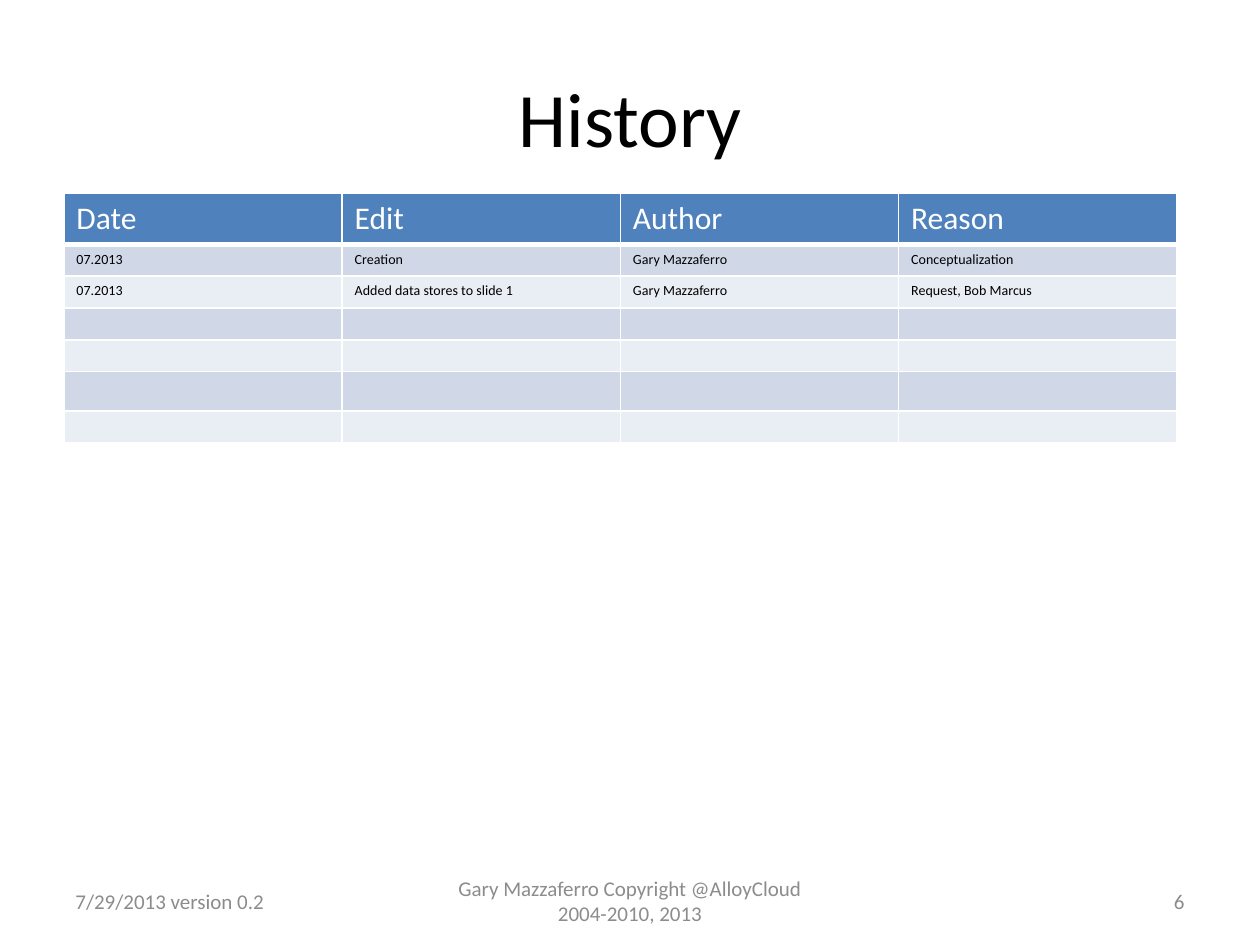
from lxml.etree import SubElement
from pptx import Presentation
from pptx.dml.color import RGBColor
from pptx.enum.text import MSO_ANCHOR, PP_ALIGN
from pptx.oxml.ns import qn
from pptx.util import Pt

TITLE = "History"
ROWS = [
    ("Date", "Edit", "Author", "Reason"),
    ("07.2013", "Creation", "Gary Mazzaferro", "Conceptualization"),
    ("07.2013", "Added data stores to slide 1", "Gary Mazzaferro", "Request, Bob Marcus"),
] + [("",) * 4] * 4
HEIGHTS = [28.8, 18.2, 18.2, 18.2, 18.2, 22.4, 18.2]
FOOTERS = [
    ("7/29/2013 version 0.2", 36, 168, PP_ALIGN.LEFT),
    ("Gary Mazzaferro Copyright @AlloyCloud 2004-2010, 2013", 246, 228, PP_ALIGN.CENTER),
    ("6", 516, 168, PP_ALIGN.RIGHT),
]

FACE = "Calibri"
BLACK = RGBColor(0, 0, 0)
WHITE = RGBColor(255, 255, 255)
GRAY = RGBColor(0x8C, 0x8C, 0x8C)
BLUE = RGBColor(0x4F, 0x81, 0xBD)
BANDS = [RGBColor(0xE9, 0xED, 0xF4), RGBColor(0xD0, 0xD8, 0xE8)]


def style(para, size, color, align=PP_ALIGN.LEFT):
    para.alignment = align
    font = para.font
    font.name, font.size, font.bold = FACE, Pt(size), False
    font.color.rgb = color


def border(cell, low):
    props = cell._tc.get_or_add_tcPr()
    for side, width in zip("LRTB", (1, 1, 1, low)):
        line = SubElement(props, qn("a:ln" + side), w=str(Pt(width)))
        fill = SubElement(line, qn("a:solidFill"))
        SubElement(fill, qn("a:srgbClr"), val=str(WHITE))


def add_title(slide):
    title = slide.shapes.title
    title.left, title.top, title.width, title.height = Pt(36), Pt(21.6), Pt(648), Pt(90)
    title.text_frame.text = TITLE
    title.text_frame.vertical_anchor = MSO_ANCHOR.MIDDLE
    style(title.text_frame.paragraphs[0], 44, BLACK, PP_ALIGN.CENTER)


def add_history(slide):
    count = len(ROWS[0])
    table = slide.shapes.add_table(
        len(ROWS), count, Pt(36.5), Pt(110.4), Pt(159 * count), Pt(sum(HEIGHTS))
    ).table
    for col in table.columns:
        col.width = Pt(159)
    for i, (row, high) in enumerate(zip(ROWS, HEIGHTS)):
        table.rows[i].height = Pt(high)
        head = i == 0
        size = 18 if head else 8
        for j, text in enumerate(row):
            cell = table.cell(i, j)
            border(cell, 3 if head else 1)
            cell.fill.solid()
            cell.fill.fore_color.rgb = BLUE if head else BANDS[i % 2]
            cell.text = text
            para = cell.text_frame.paragraphs[0]
            style(para, size, WHITE if head else BLACK)
            if not text:
                SubElement(para._p, qn("a:endParaRPr"), sz=str(size * 100))


def add_footer(slide, text, left, width, align):
    frame = slide.shapes.add_textbox(Pt(left), Pt(500.4), Pt(width), Pt(28.8)).text_frame
    frame.word_wrap = True
    frame.vertical_anchor = MSO_ANCHOR.MIDDLE
    frame.text = text
    style(frame.paragraphs[0], 12, GRAY, align)


def main():
    deck = Presentation()
    deck.slide_width, deck.slide_height = Pt(720), Pt(540)
    slide = deck.slides.add_slide(deck.slide_layouts[5])
    add_title(slide)
    add_history(slide)
    for item in FOOTERS:
        add_footer(slide, *item)
    deck.save("out.pptx")


if __name__ == "__main__":
    main()
